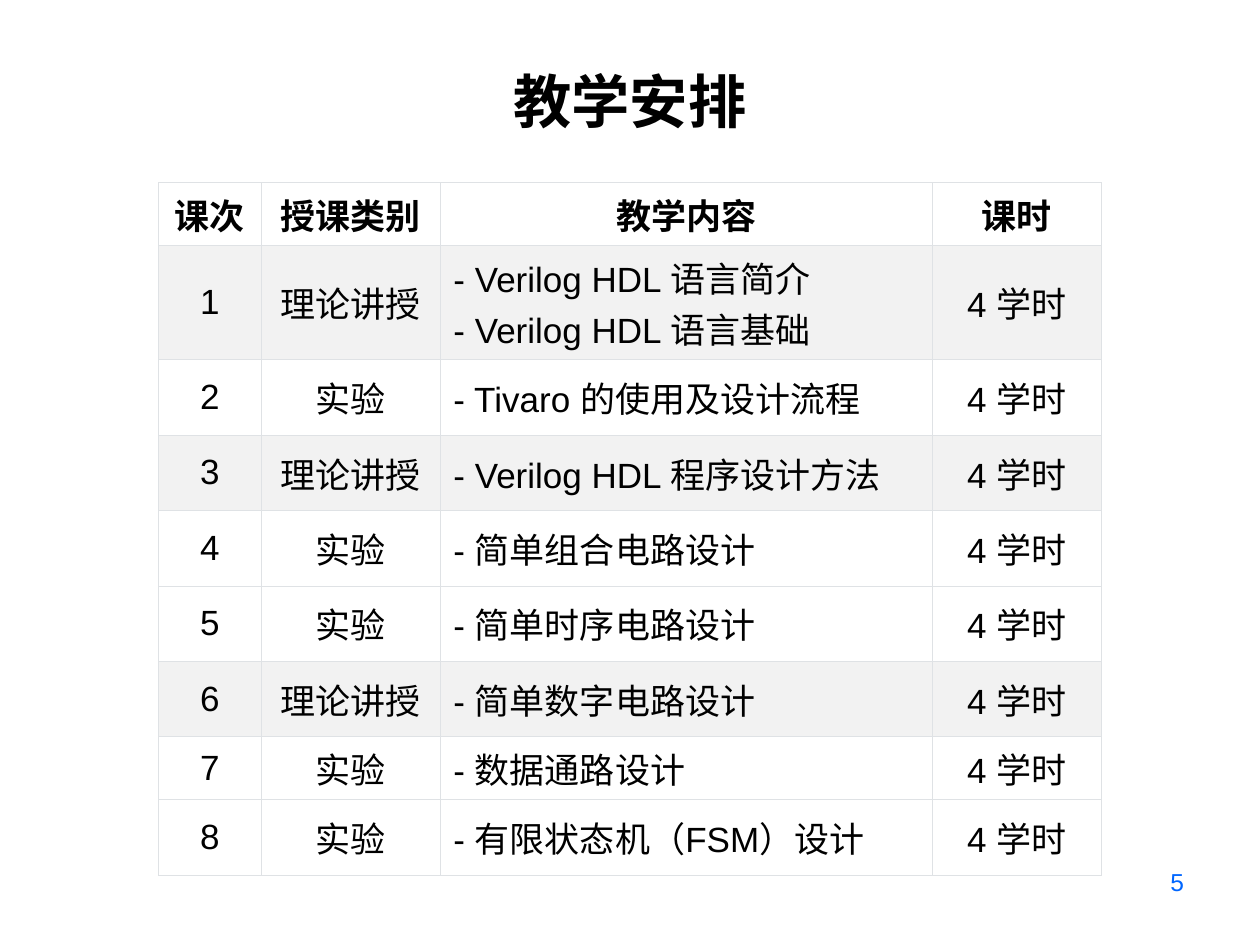
from dataclasses import dataclass

from lxml.etree import SubElement as Sub
from pptx import Presentation as Deck
from pptx.dml.color import RGBColor as Rgb
from pptx.enum.text import MSO_ANCHOR as Anchor, PP_ALIGN as Align
from pptx.oxml.ns import qn
from pptx.table import _Cell as Cell
from pptx.text.text import _Paragraph as Para
from pptx.util import Cm, Pt

HUES = {
    "ink": "000000",
    "page": "0066FF",
    "rule": "DFE2E5",
    "white": "FFFFFF",
    "band": "F2F2F2",
}
FONT = "Arial"
HEADS = ["课次", "授课类别", "教学内容", "课时"]
WIDTHS = [2.06, 3.61, 9.93, 3.4]
HOURS = "4 学时"
TALK, LAB = "理论讲授", "实验"
TOPIC = 2


@dataclass
class Lesson:
    kind: str
    topics: list[str]
    height: float = 1.52


LESSONS = [
    Lesson(TALK, ["Verilog HDL 语言简介", "Verilog HDL 语言基础"], 2.3),
    Lesson(LAB, ["Tivaro 的使用及设计流程"]),
    Lesson(TALK, ["Verilog HDL 程序设计方法"]),
    Lesson(LAB, ["简单组合电路设计"]),
    Lesson(LAB, ["简单时序电路设计"]),
    Lesson(TALK, ["简单数字电路设计"]),
    Lesson(LAB, ["数据通路设计"], 1.27),
    Lesson(LAB, ["有限状态机（FSM）设计"]),
]


def write(para: Para, text: str, size: float, align: Align,
          bold: bool = False, hue: str = "ink") -> None:
    para.alignment = align
    run = para.add_run()
    run.text = text
    font = run.font
    font.name, font.size, font.bold = FONT, Pt(size), bold
    font.color.rgb = Rgb.from_string(HUES[hue])


def rule(cell: Cell) -> None:
    props = cell._tc.get_or_add_tcPr()
    for at, side in enumerate(("lnL", "lnR", "lnT", "lnB")):
        line = props.makeelement(qn(f"a:{side}"), {"w": str(Pt(0.34))})
        fill = Sub(line, qn("a:solidFill"))
        Sub(fill, qn("a:srgbClr"), val=HUES["rule"])
        props.insert(at, line)


def fill_cell(cell: Cell, lines: list[str], align: Align,
              hue: str, bold: bool = False) -> None:
    cell.vertical_anchor = Anchor.MIDDLE
    cell.margin_left = cell.margin_right = Cm(0.27)
    cell.margin_top = cell.margin_bottom = Cm(0.13)
    cell.fill.solid()
    cell.fill.fore_color.rgb = Rgb.from_string(HUES[hue])
    rule(cell)
    frame = cell.text_frame
    for at, text in enumerate(lines):
        para = frame.add_paragraph() if at else frame.paragraphs[0]
        write(para, text, 20, align, bold)


def add_plan(slide) -> None:
    heights = [1.27] + [item.height for item in LESSONS]
    table = slide.shapes.add_table(
        len(heights), len(HEADS), Cm(3.2), Cm(3.68),
        Cm(sum(WIDTHS)), Cm(sum(heights))).table
    table.first_row = table.horz_banding = False
    for col, width in zip(table.columns, WIDTHS):
        col.width = Cm(width)
    for row, height in zip(table.rows, heights):
        row.height = Cm(height)
    for col, head in enumerate(HEADS):
        fill_cell(table.cell(0, col), [head], Align.CENTER, "white", True)
    for row, item in enumerate(LESSONS, 1):
        hue = "band" if item.kind == TALK else "white"
        topics = [f"- {topic}" for topic in item.topics]
        cells = [[str(row)], [item.kind], topics, [HOURS]]
        for col, lines in enumerate(cells):
            align = Align.LEFT if col == TOPIC else Align.CENTER
            fill_cell(table.cell(row, col), lines, align, hue)


def add_title(slide, text: str) -> None:
    title = slide.shapes.title
    title.left, title.top = Cm(0), Cm(1.32)
    title.width, title.height = Cm(25.4), Cm(1.57)
    frame = title.text_frame
    frame.vertical_anchor = Anchor.BOTTOM
    para = frame.paragraphs[0]
    para.line_spacing, para.space_before = 0.95, Pt(0)
    write(para, text, 33.3, Align.CENTER, True)


def add_page(slide, text: str) -> None:
    box = slide.shapes.add_textbox(Cm(18.2), Cm(17.35), Cm(5.92), Cm(1.32))
    frame = box.text_frame
    frame.word_wrap = True
    write(frame.paragraphs[0], text, 14, Align.RIGHT, hue="page")


def main() -> None:
    deck = Deck()
    deck.slide_width, deck.slide_height = Cm(25.4), Cm(19.05)
    slide = deck.slides.add_slide(deck.slide_layouts[5])
    add_title(slide, "教学安排")
    add_page(slide, "5")
    add_plan(slide)
    deck.save("out.pptx")


if __name__ == "__main__":
    main()
